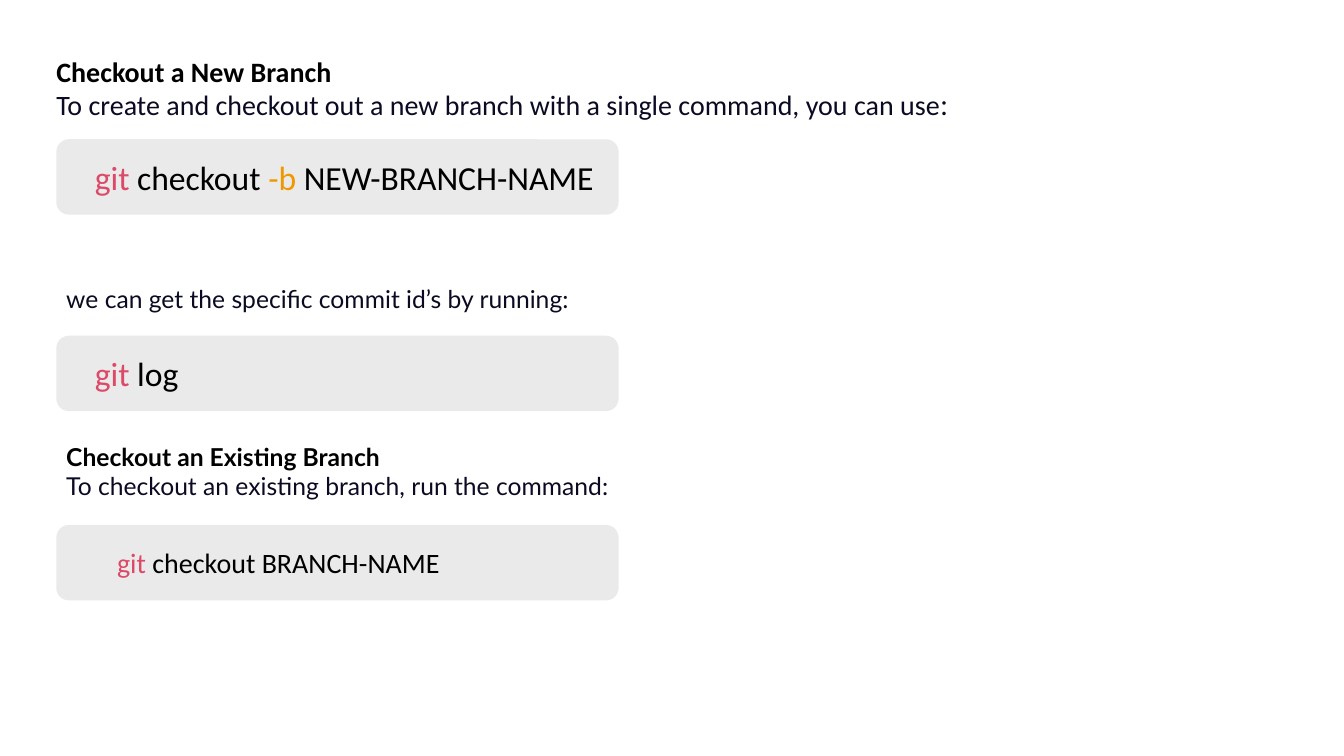
from dataclasses import dataclass

from pptx import Presentation
from pptx.dml.color import RGBColor
from pptx.enum.shapes import MSO_SHAPE
from pptx.enum.text import MSO_ANCHOR, MSO_AUTO_SIZE
from pptx.util import Cm, Pt


@dataclass(frozen=True)
class Theme:
    black: str = "000000"
    navy: str = "0A0A23"
    pink: str = "DD4A68"
    orange: str = "EE9900"
    grey: str = "EAEAEA"
    sans: str = "Calibri"
    prose: str = "Lato"
    large: float = 24
    medium: float = 20
    small: float = 17.6


THEME = Theme()
LEFT = 1.42
BAR_WIDTH = 14.17
BAR_HEIGHT = 1.9


def add_run(p, text, color, font, size, bold=False):
    r = p.add_run()
    r.text = text
    r.font.name = font
    r.font.size = Pt(size)
    r.font.bold = bold
    r.font.color.rgb = RGBColor.from_string(color)


def add_text_box(s, left, top, width, height, wrap=True, inset=True):
    tf = s.shapes.add_textbox(Cm(left), Cm(top), Cm(width), Cm(height)).text_frame
    tf.word_wrap = wrap
    tf.auto_size = MSO_AUTO_SIZE.SHAPE_TO_FIT_TEXT
    if not inset:
        tf.margin_left = tf.margin_right = tf.margin_top = tf.margin_bottom = 0
    return tf


def add_prose(s, top, width, height, heading, body):
    tf = add_text_box(s, LEFT, top, width, height)
    p = tf.paragraphs[0]
    if heading:
        add_run(p, heading, THEME.black, THEME.prose, THEME.small, bold=True)
        p = tf.add_paragraph()
    add_run(p, body, THEME.navy, THEME.prose, THEME.small)


def add_command(s, top, left, width, size, parts):
    sp = s.shapes.add_shape(
        MSO_SHAPE.ROUNDED_RECTANGLE, Cm(LEFT), Cm(top), Cm(BAR_WIDTH), Cm(BAR_HEIGHT)
    )
    sp.shadow.inherit = False
    sp.fill.solid()
    sp.fill.fore_color.rgb = RGBColor.from_string(THEME.grey)
    sp.line.fill.background()

    height = Pt(size * 1.22).cm
    tf = add_text_box(
        s, left, top + (BAR_HEIGHT - height) / 2, width, height, inset=False
    )
    tf.vertical_anchor = MSO_ANCHOR.MIDDLE
    for text, color in parts:
        add_run(tf.paragraphs[0], text, color, THEME.sans, size)


def add_intro(s):
    tf = add_text_box(s, LEFT, 1.37, 22.66, 2.57, wrap=False, inset=False)
    add_run(
        tf.paragraphs[0], "Checkout a New Branch",
        THEME.black, THEME.sans, THEME.medium, bold=True,
    )
    p = tf.add_paragraph()
    add_run(
        p, "To create and checkout out a new branch with a single command, you can use",
        THEME.navy, THEME.sans, THEME.medium,
    )
    add_run(p, ":", THEME.navy, THEME.prose, THEME.medium)


def main():
    prs = Presentation()
    prs.slide_width = Cm(33.87)
    prs.slide_height = Cm(19.05)
    s = prs.slides.add_slide(prs.slide_layouts[6])

    git = ("git", THEME.pink)
    add_intro(s)
    add_command(s, 3.51, 2.39, 13.18, THEME.large, [
        git,
        (" checkout ", THEME.black),
        ("-b", THEME.orange),
        (" NEW-BRANCH-NAME", THEME.black),
    ])
    add_prose(s, 7.04, 18.72, 1.02, None,
              "we can get the specific commit id’s by running:")
    add_command(s, 8.46, 2.39, 12.52, THEME.large, [git, (" log", THEME.black)])
    add_prose(s, 11, 14.45, 2.51, "Checkout an Existing Branch",
              "To checkout an existing branch, run the command:")
    add_command(s, 13.23, 2.95, 10.13, THEME.medium,
                [git, (" checkout BRANCH-NAME", THEME.black)])

    prs.save("out.pptx")


if __name__ == "__main__":
    main()
